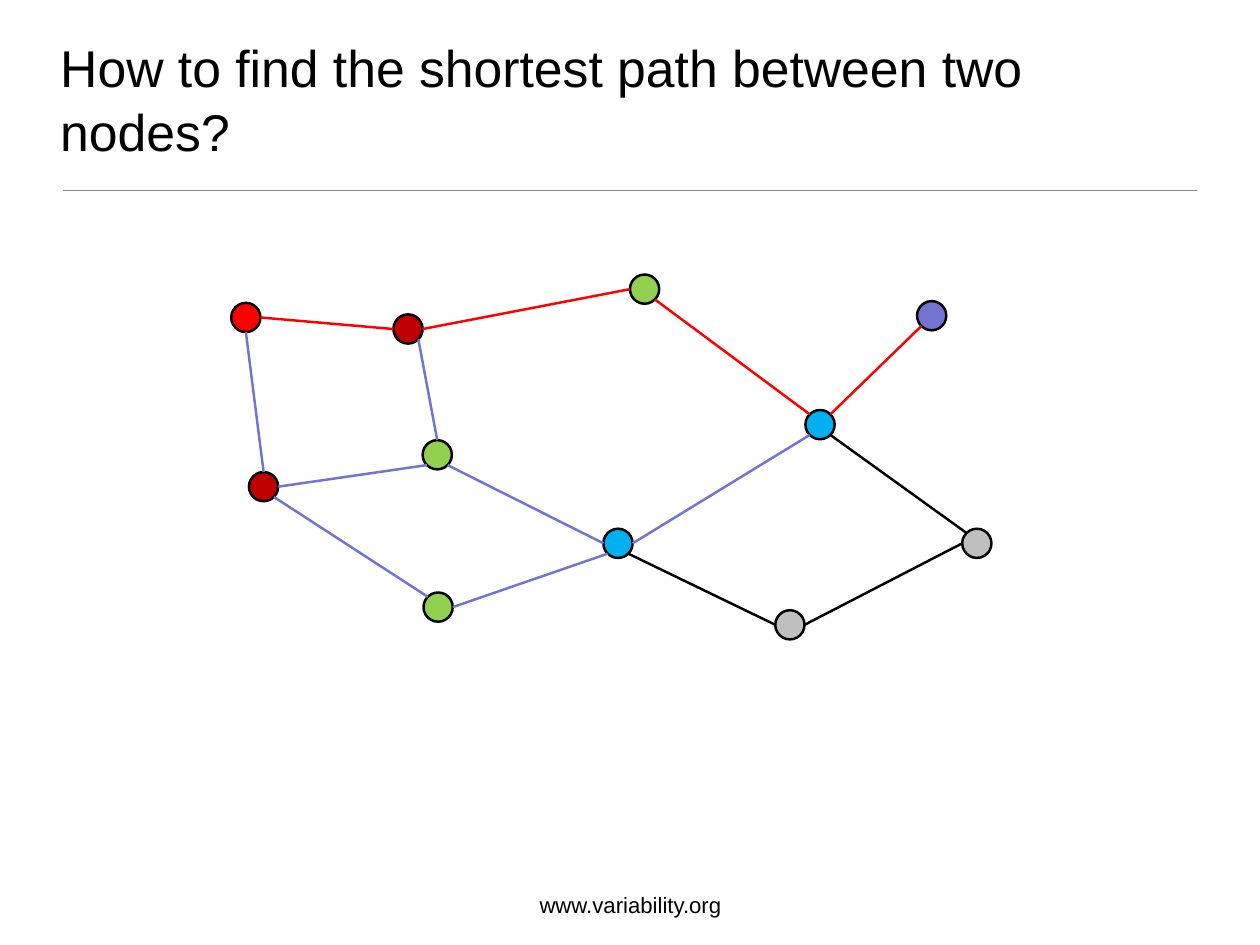
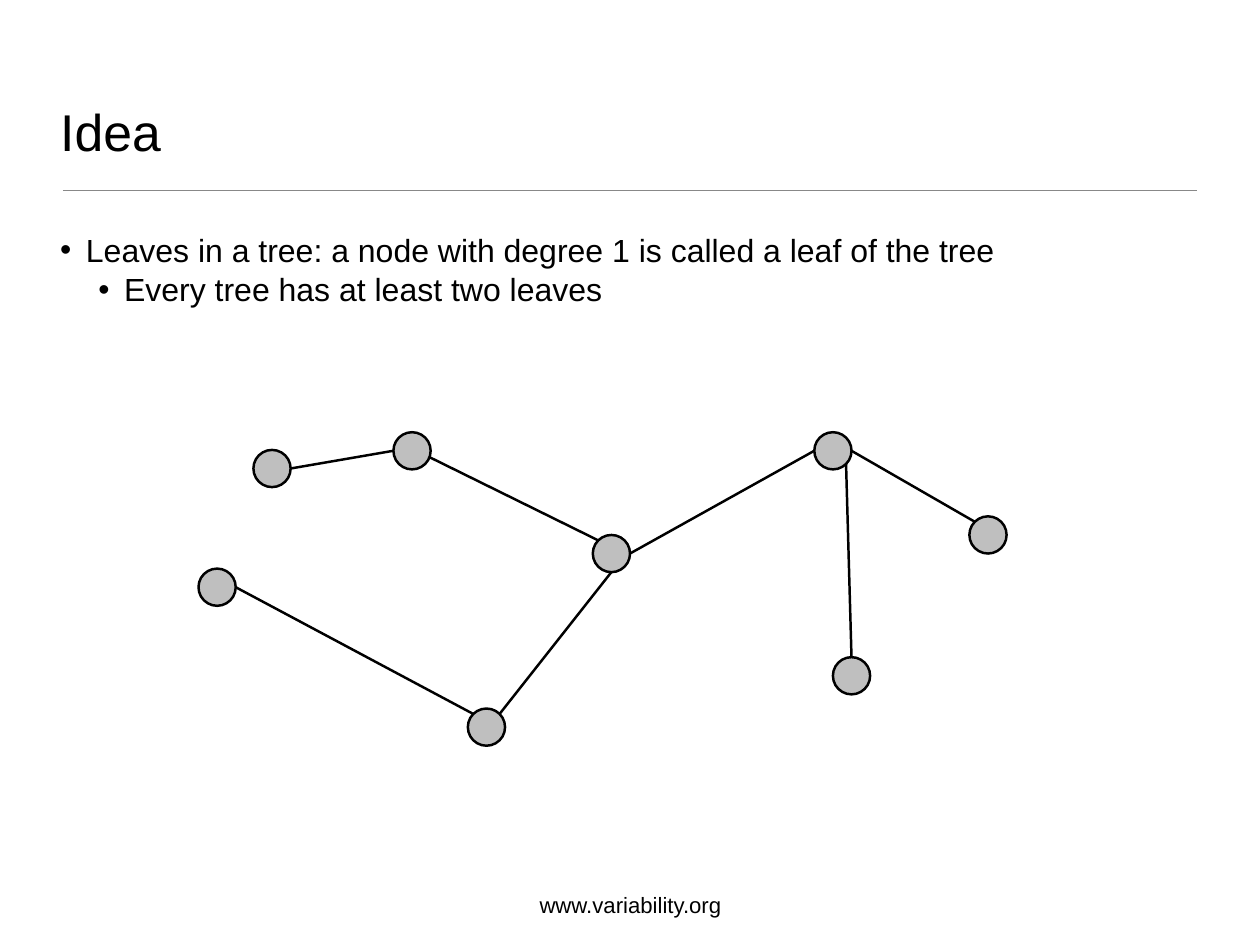
import math
from dataclasses import dataclass

import lxml.etree
import pptx
import pptx.dml.color
import pptx.enum.shapes
import pptx.enum.text
import pptx.oxml.ns
import pptx.util

Inches = pptx.util.Inches
Pt = pptx.util.Pt
qn = pptx.oxml.ns.qn
Anchor = pptx.enum.text.MSO_ANCHOR
Align = pptx.enum.text.PP_ALIGN

FONT = "Arial"
COLORS = {
    "black": "000000", "rule": "888888", "gray": "BFBFBF", "red": "FF0000",
    "dark": "C00000", "green": "92D050", "blue": "00B0F0", "violet": "7373D1",
}
# Degrees clockwise from the right-hand side of a node.
SIDES = {"e": 0, "ese": 20, "se": 45, "s": 90, "sw": 135,
         "w": 180, "nw": 225, "n": 270, "ne": 315}


@dataclass(frozen=True)
class Node:
    left: float
    top: float
    fill: str = "gray"


@dataclass(frozen=True)
class Edge:
    start: str
    leave: str
    end: str
    enter: str
    color: str = "black"


@dataclass(frozen=True)
class Graph:
    size: float
    nodes: dict[str, Node]
    edges: list[Edge]


@dataclass(frozen=True)
class Bullet:
    text: str
    level: int
    margin: float
    before: float


PATH = Graph(0.33, {
    "a": Node(2.61, 3.42, "red"),
    "b": Node(4.44, 3.55, "dark"),
    "c": Node(2.81, 5.33, "dark"),
    "d": Node(7.11, 3.1, "green"),
    "e": Node(4.78, 6.69, "green"),
    "f": Node(6.81, 5.97, "blue"),
    "g": Node(4.77, 4.97, "green"),
    "h": Node(9.09, 4.63, "blue"),
    "i": Node(8.75, 6.89),
    "j": Node(10.35, 3.4, "violet"),
    "k": Node(10.86, 5.97),
}, [
    Edge("a", "e", "b", "w", "red"),
    Edge("a", "s", "c", "n", "violet"),
    Edge("g", "sw", "c", "e", "violet"),
    Edge("c", "se", "e", "nw", "violet"),
    Edge("b", "se", "g", "n", "violet"),
    Edge("b", "e", "d", "w", "red"),
    Edge("g", "se", "f", "w", "violet"),
    Edge("e", "e", "f", "sw", "violet"),
    Edge("d", "se", "h", "nw", "red"),
    Edge("f", "e", "h", "sw", "violet"),
    Edge("f", "se", "i", "w"),
    Edge("h", "se", "k", "nw"),
    Edge("i", "e", "k", "w"),
    Edge("j", "sw", "h", "ne", "red"),
])

TREE = Graph(0.42, {
    "a": Node(2.86, 5.08),
    "b": Node(4.44, 4.88),
    "c": Node(2.24, 6.42),
    "d": Node(6.69, 6.04),
    "e": Node(5.28, 8),
    "f": Node(9.19, 4.88),
    "g": Node(9.4, 7.42),
    "h": Node(10.94, 5.83),
}, [
    Edge("a", "e", "b", "w"),
    Edge("b", "ese", "d", "nw"),
    Edge("c", "e", "e", "nw"),
    Edge("e", "ne", "d", "s"),
    Edge("d", "e", "f", "w"),
    Edge("f", "e", "h", "nw"),
    Edge("g", "n", "f", "se"),
])

LEAVES = [
    Bullet("Leaves in a tree: a node with degree 1 is called a leaf of the tree",
           0, 0.29, 0),
    Bullet("Every tree has at least two leaves", 1, 0.72, 1),
]


def rgb(name: str) -> pptx.dml.color.RGBColor:
    return pptx.dml.color.RGBColor.from_string(COLORS[name])


def place(shape, left: float, top: float, width: float, height: float) -> None:
    shape.left, shape.top = Inches(left), Inches(top)
    shape.width, shape.height = Inches(width), Inches(height)


def set_frame(frame, inset: float, anchor) -> None:
    frame.word_wrap = True
    frame.auto_size = pptx.enum.text.MSO_AUTO_SIZE.NONE
    frame.vertical_anchor = anchor
    frame.margin_left = frame.margin_right = Inches(inset)
    frame.margin_top = frame.margin_bottom = Inches(inset)


def add_run(para, text: str, size: float) -> None:
    run = para.add_run()
    run.text = text
    run.font.name = FONT
    run.font.size = Pt(size)
    run.font.color.rgb = rgb("black")


def add_line(slide, start: tuple[float, float], end: tuple[float, float],
             color: str, width: float) -> None:
    line = slide.shapes.add_connector(
        pptx.enum.shapes.MSO_CONNECTOR.STRAIGHT,
        *(Inches(value) for value in start + end))
    line.line.color.rgb = rgb(color)
    line.line.width = Pt(width)
    props = line._element.find(qn("p:spPr"))
    lxml.etree.SubElement(props, qn("a:effectLst"))


def add_slide(deck, layout: int, title: str):
    """Add a slide with the shared title, rule and footer."""
    slide = deck.slides.add_slide(deck.slide_layouts[layout])
    add_line(slide, (0.71, 2.15), (13.51, 2.15), "rule", 1)

    foot = slide.shapes.add_textbox(
        Inches(6.06), Inches(9.96), Inches(2.11), Inches(0.4)).text_frame
    set_frame(foot, 0, Anchor.BOTTOM)
    foot.paragraphs[0].alignment = Align.CENTER
    add_run(foot.paragraphs[0], "www.variability.org", 18)

    head = slide.shapes.title
    place(head, 0.62, 0.36, 12.97, 1.53)
    set_frame(head.text_frame, 0.06, Anchor.BOTTOM)
    para = head.text_frame.paragraphs[0]
    para.alignment = Align.LEFT
    para.line_spacing = 1.04
    add_run(para, title, 42)
    return slide


def add_list(slide, items: list[Bullet]) -> None:
    body = slide.placeholders[1]
    place(body, 0.62, 2.54, 12.97, 7.18)
    frame = body.text_frame
    set_frame(frame, 0.06, Anchor.TOP)
    for index, item in enumerate(items):
        para = frame.add_paragraph() if index else frame.paragraphs[0]
        para.level = item.level
        para.alignment = Align.LEFT
        para.space_before = Pt(item.before)
        props = para._p.get_or_add_pPr()
        props.set("marL", str(Inches(item.margin)))
        props.set("indent", str(Inches(-0.29)))
        tint = lxml.etree.SubElement(props, qn("a:buClr"))
        lxml.etree.SubElement(tint, qn("a:srgbClr"), val=COLORS["black"])
        lxml.etree.SubElement(props, qn("a:buFont"), typeface=FONT)
        lxml.etree.SubElement(props, qn("a:buChar"), char="•")
        add_run(para, item.text, 26)


def rim(node: Node, size: float, side: str) -> tuple[float, float]:
    """Return the point on a node's outline at the named side."""
    angle = math.radians(SIDES[side])
    half = size / 2
    return (node.left + half + half * math.cos(angle),
            node.top + half + half * math.sin(angle))


def add_graph(slide, graph: Graph) -> None:
    for node in graph.nodes.values():
        dot = slide.shapes.add_shape(
            pptx.enum.shapes.MSO_SHAPE.OVAL, Inches(node.left),
            Inches(node.top), Inches(graph.size), Inches(graph.size))
        dot.shadow.inherit = False
        dot.fill.solid()
        dot.fill.fore_color.rgb = rgb(node.fill)
        dot.line.color.rgb = rgb("black")
        dot.line.width = Pt(2)
    for edge in graph.edges:
        add_line(slide,
                 rim(graph.nodes[edge.start], graph.size, edge.leave),
                 rim(graph.nodes[edge.end], graph.size, edge.enter),
                 edge.color, 2)


def main() -> None:
    deck = pptx.Presentation()
    deck.slide_width, deck.slide_height = Inches(14.22), Inches(10.67)

    slide = add_slide(deck, 5, "How to find the shortest path between two nodes?")
    add_graph(slide, PATH)

    slide = add_slide(deck, 1, "Idea")
    add_list(slide, LEAVES)
    add_graph(slide, TREE)

    deck.save("out.pptx")


if __name__ == "__main__":
    main()
